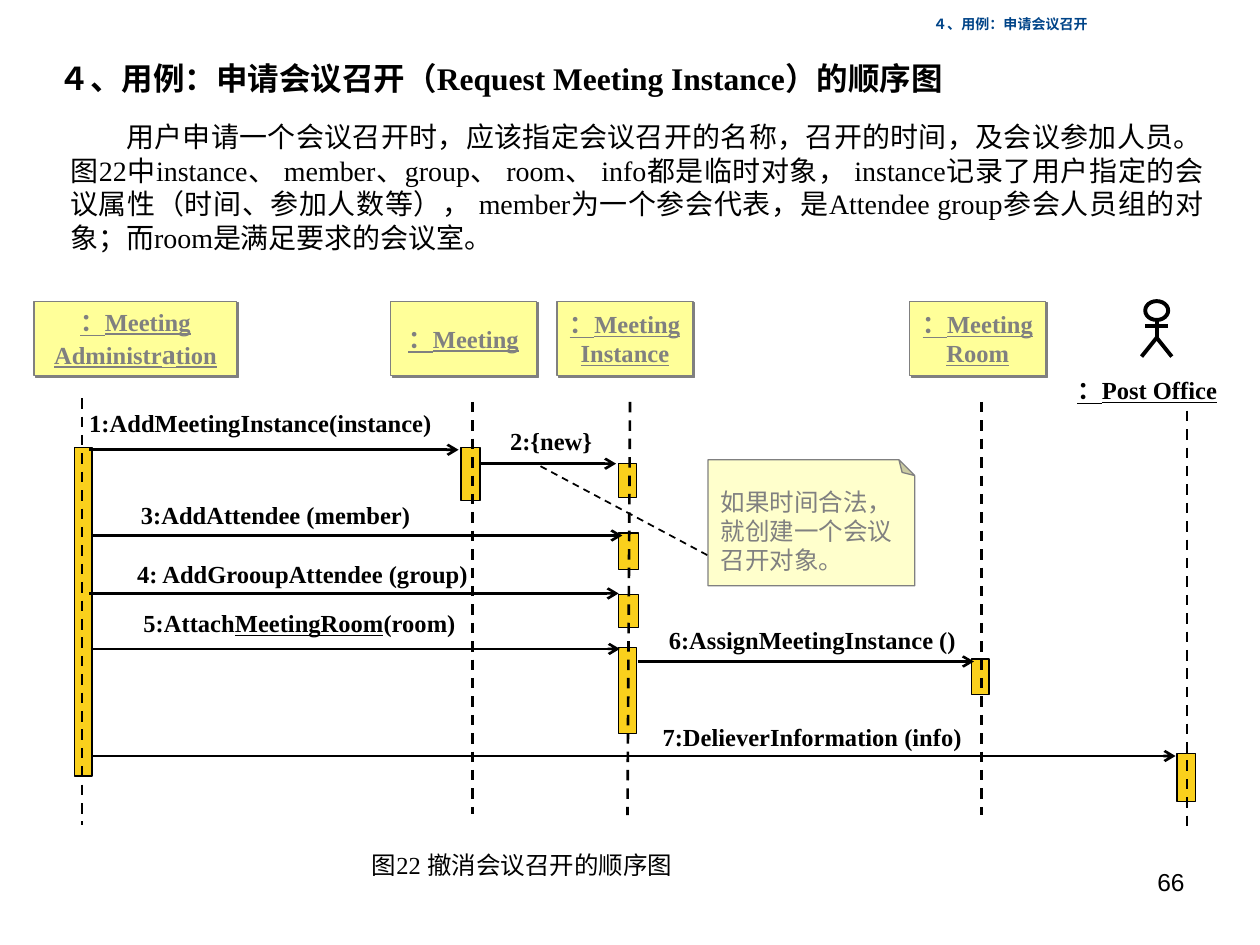
import pptx
import pptx.util
import pptx.dml.color
import pptx.enum.dml
import pptx.enum.shapes
import pptx.enum.text
import pptx.oxml
import pptx.oxml.ns

# The grid has 100 columns and 75 rows of square cells.
CELL = pptx.util.Inches(0.1)
SERIF, SANS, CJK = "Times New Roman", "Arial", "Noto Sans CJK SC"
BLACK, GREY, GOLD, BLUE = "000000", "808080", "FAD01C", "004488"
KIND = pptx.enum.shapes.MSO_SHAPE
ALIGN = pptx.enum.text.PP_ALIGN
MIDDLE = pptx.enum.text.MSO_ANCHOR.MIDDLE
NS = pptx.oxml.ns.nsdecls("a")

deck = pptx.Presentation()
deck.slide_width, deck.slide_height = 100 * CELL, 75 * CELL
slide = deck.slides.add_slide(deck.slide_layouts[5])


def cells(*nums):
    return [round(n * CELL) for n in nums]


def tint(code):
    return pptx.dml.color.RGBColor.from_string(code)


def add_xml(parent, xml):
    parent.append(pptx.oxml.parse_xml(xml))


def write(frame, lines, size=14, color=BLACK, font=SERIF, bold=False,
          under=None, align=ALIGN.LEFT, wrap=True):
    """Fill a frame; a line is a string or a list of (text, font settings)."""
    frame.word_wrap = wrap
    for i, line in enumerate(lines):
        para = frame.add_paragraph() if i else frame.paragraphs[0]
        para.alignment = align
        face = para.font
        face.size, face.name = pptx.util.Pt(size), font
        face.bold, face.underline = bold, under
        face.color.rgb = tint(color)
        for words, style in [(line, {})] if isinstance(line, str) else line:
            run = para.add_run()
            run.text = words
            for key, value in style.items():
                setattr(run.font, key, value)


def label(box, line, **style):
    area = slide.shapes.add_textbox(*cells(*box))
    write(area.text_frame, [line], **style)
    return area


def block(box, fill, edge=BLACK, kind=KIND.RECTANGLE, width=0.75):
    shape = slide.shapes.add_shape(kind, *cells(*box))
    shape.shadow.inherit = False
    if fill:
        shape.fill.solid()
        shape.fill.fore_color.rgb = tint(fill)
    else:
        shape.fill.background()
    shape.line.color.rgb = tint(edge)
    shape.line.width = pptx.util.Pt(width)
    return shape


def line(ends, width=1.5, dash=False, arrow=False):
    link = slide.shapes.add_connector(
        pptx.enum.shapes.MSO_CONNECTOR.STRAIGHT, *cells(*ends))
    link.line.color.rgb = tint(BLACK)
    link.line.width = pptx.util.Pt(width)
    if dash:
        link.line.dash_style = pptx.enum.dml.MSO_LINE.DASH
    if arrow:
        add_xml(link.line._get_or_add_ln(), f'<a:tailEnd {NS} type="arrow"/>')
    add_xml(link._element.spPr, f"<a:effectLst {NS}/>")


def header(box):
    title = slide.shapes.title
    title.left, title.top, title.width, title.height = cells(*box)
    frame = title.text_frame
    frame.auto_size = pptx.enum.text.MSO_AUTO_SIZE.NONE
    frame.vertical_anchor = MIDDLE
    write(frame, [[("４、", {}), ("用例：", {"name": SANS}), ("申请会议召开", {})]],
          size=8, color=BLUE, font=CJK, bold=True, align=ALIGN.CENTER)


def heading(box):
    area = label(box, [("４、", {}), ("用例：", {"name": SERIF}), ("申请会议召开（", {}),
                       ("Request Meeting Instance）", {"name": SERIF}), ("的顺序图", {})],
                 size=18, font=CJK, bold=True)
    area.text_frame.vertical_anchor = MIDDLE


def intro(box):
    area = label(box, "用户申请一个会议召开时，应该指定会议召开的名称，召开的时间，及会议参加人员。"
                 "图22中instance、 member、group、 room、 info都是临时对象， "
                 "instance记录了用户指定的会议属性（时间、参加人数等）， "
                 "member为一个参会代表，是Attendee group参会人员组的对象；"
                 "而room是满足要求的会议室。", size=16, align=ALIGN.JUSTIFY)
    props = area.text_frame.paragraphs[0]._p.get_or_add_pPr()
    props.set("indent", str(pptx.util.Pt(32)))


def card(box, lines):
    """Object box with a hard grey shadow."""
    shape = block(box, "FFFF99", GREY)
    add_xml(shape._element.spPr.find(pptx.oxml.ns.qn("a:effectLst")),
            f'<a:outerShdw {NS} dist="17780" dir="2700000" algn="ctr" rotWithShape="0">'
            f'<a:srgbClr val="{GREY}"/></a:outerShdw>')
    shape.text_frame.vertical_anchor = MIDDLE
    write(shape.text_frame, lines, color=GREY, bold=True, under=True,
          align=ALIGN.CENTER, wrap=False)


def lane(ends, bars):
    """Lifeline over its activation bars."""
    for bar in bars:
        block(bar, GOLD)
    line(ends, dash=True)


def actor(box):
    x, y, w, h = box
    mid, neck, arm, hip = x + w / 2, y + h * 0.34, y + h * 0.45, y + h * 0.66
    reach = w * 0.38
    block((mid - reach, y, 2 * reach, neck - y), None, kind=KIND.OVAL, width=2.25)
    for ends in [(mid, neck, mid, hip), (mid - reach, arm, mid + reach, arm),
                 (mid, hip, x, y + h), (mid, hip, x + w, y + h)]:
        line(ends, width=2.25)


def call(start, end, row, spot, words):
    """Message arrow on a row, with its label at spot (left, top, width)."""
    line((start, row, end, row), arrow=True)
    label((*spot, 3.4), words, bold=True)


def note(box):
    x, y, w, h = box
    line((x - 13.3, y + 0.5, x + 0.2, y + 7.7), width=1, dash=True)
    shape = block(box, "FFFFCC", GREY, KIND.FOLDED_CORNER)
    props = shape._element.spPr
    add_xml(next(props.iter(pptx.oxml.ns.qn("a:avLst"))),
            f'<a:gd {NS} name="adj" fmla="val 12500"/>')
    props.xfrm.set("flipV", "1")
    frame = shape.text_frame
    frame.vertical_anchor = MIDDLE
    write(frame, ["如果时间合法，", "就创建一个会议", "召开对象。"], color=GREY, wrap=False)
    frame._txBody.bodyPr.set("rot", "10800000")


def diagram(top):
    """Sequence diagram whose object boxes start at the given row."""
    big = {"size": pptx.util.Pt(16)}
    for left, width, lines in [
            (2.7, 16.1, ["：Meeting", [("Administr", {}), ("a", big), ("tion", {})]]),
            (31, 11.6, ["：Meeting"]),
            (44.2, 10.8, ["：Meeting", "Instance"]),
            (72.2, 10.8, ["：Meeting", "Room"])]:
        card((left, top, width, 5.9), lines)
    actor((90.6, top, 2.4, 4.4))
    label((83.7, top + 5.4, 14.7, 3.4), "：Post Office", bold=True, under=True,
          align=ALIGN.CENTER)

    low = top + 8
    for ends, bars in [
            ((6.5, low - 0.3, 6.5, 65.5), [(5.9, 35.5, 1.4, 26.1)]),
            ((37.5, low, 37.5, 64.6), [(36.6, 35.5, 1.5, 4.2)]),
            ((50, low, 49.8, 64.7), [(49.1, 36.8, 1.4, 2.7), (49.1, 42.3, 1.6, 2.9),
                                     (49.1, 47.2, 1.6, 2.6), (49.1, 51.4, 1.4, 6.8)]),
            ((77.9, low, 77.9, 64.7), [(77.1, 52.3, 1.4, 2.8)]),
            ((94.2, low + 0.7, 94.2, 65.6), [(93.4, 59.8, 1.5, 3.8)])]:
        lane(ends, bars)

    for start, end, row, spot, words in [
            (7.1, 36.4, 35.7, (6.1, 31.9, 32.9), "1:AddMeetingInstance(instance)"),
            (38.2, 48.9, 36.8, (39.5, 33.3, 10.3), "2:{new}"),
            (7.3, 49.4, 42.5, (10.2, 39.2, 32.9), "3:AddAttendee (member)"),
            (7.1, 49.1, 47.1, (9.9, 43.9, 32.9), "4: AddGrooupAttendee (group)"),
            (7.2, 49.2, 51.5, (10.4, 47.8, 32.9),
             [("5:Attach", {}), ("MeetingRoom", {"underline": True}), ("(room)", {})]),
            (50.6, 77.3, 52.5, (52.1, 49.1, 29.7), "6:AssignMeetingInstance ()"),
            (7.3, 93.3, 60, (51.6, 56.8, 32.9), "7:DelieverInformation (info)")]:
        call(start, end, row, spot, words)
    note((56.2, 36.5, 16.4, 10))


header((68.9, 0, 22.6, 3.8))
heading((3.7, 3.4, 87.4, 5.5))
intro((4.6, 9, 91.9, 11.7))
diagram(23.9)
label((18.1, 67, 46.7, 3.4), "图22 撤消会议召开的顺序图", align=ALIGN.CENTER)
label((71.7, 68.3, 23.3, 5.2), "66", font=SANS, align=ALIGN.RIGHT)
deck.save("out.pptx")
